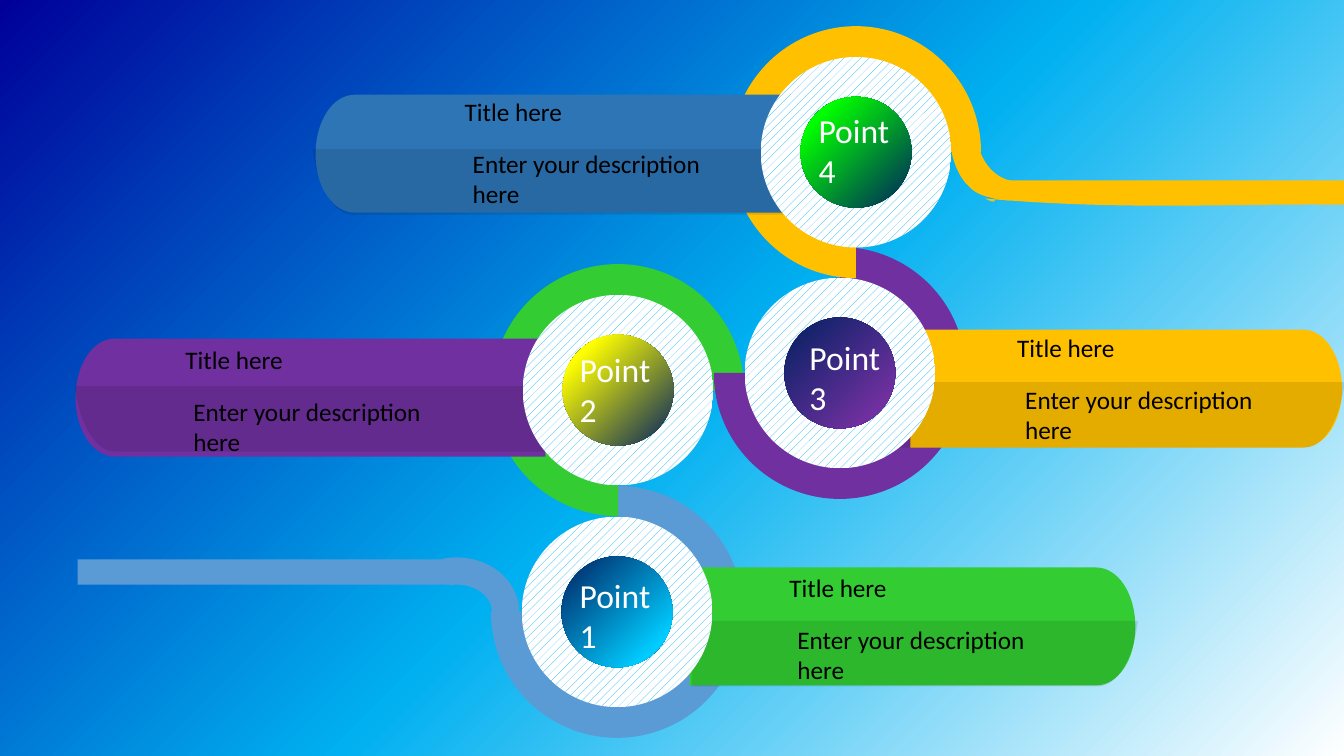
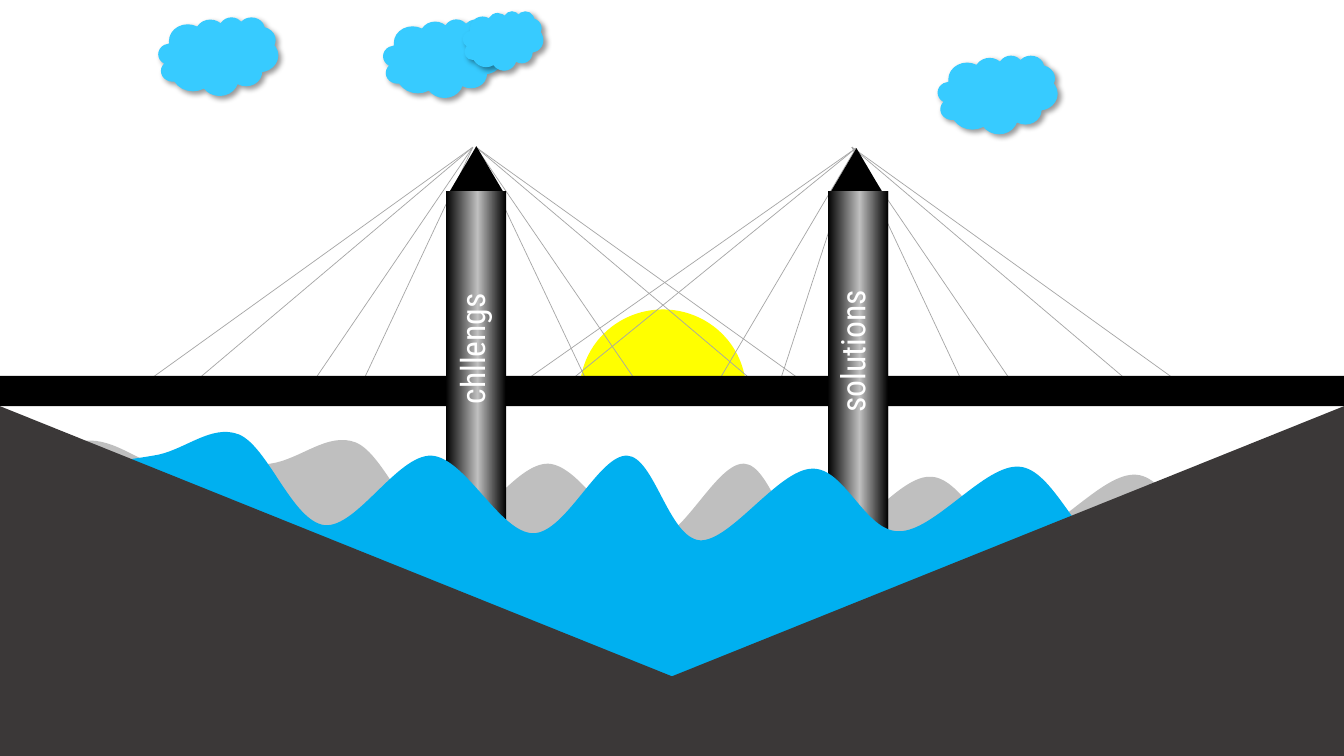
from dataclasses import dataclass

from lxml.etree import SubElement
from pptx import Presentation
from pptx.dml.color import RGBColor
from pptx.enum.dml import MSO_PATTERN
from pptx.enum.shapes import MSO_CONNECTOR, MSO_SHAPE as SHAPE
from pptx.enum.text import MSO_AUTO_SIZE
from pptx.oxml.ns import qn
from pptx.util import Cm, Pt


@dataclass(frozen=True)
class Theme:
    white: str = "FFFFFF"
    black: str = "000000"
    navy: str = "002060"
    sky: str = "00B0F0"
    steel: str = "5B9BD5"
    blue: str = "2E75B6"
    green: str = "33CC33"
    purple: str = "7030A0"
    amber: str = "FFC000"
    yellow: str = "FFFF00"
    cyan: str = "00CCFF"
    lime: str = "00FF00"
    deep_blue: str = "000099"
    cloud: str = "37CBFF"
    silver: str = "BFBFBF"
    cable: str = "A6A6A6"
    earth: str = "3B3838"
    body_font: str = "Calibri"
    tower_font: str = "Roboto Condensed"
    label_size: int = 24
    body_size: int = 18


T = Theme()
UNIT = 2.54  # one layout unit in centimetres
WIDTH, HEIGHT = 13.33, 7.5


def lengths(*values):
    return [Cm(v * UNIT) for v in values]


class Deck:
    def __init__(self):
        self.prs = Presentation()
        self.prs.slide_width, self.prs.slide_height = lengths(WIDTH, HEIGHT)
        self.s = None

    def new_slide(self):
        self.s = self.prs.slides.add_slide(self.prs.slide_layouts[6])

    def gradient(self, fill, element, stops, angle=None):
        """Linear gradient at an angle, or a circle around the lower right corner."""
        fill.gradient()
        grad = element.find(".//" + qn("a:gradFill"))
        for child in list(grad):
            grad.remove(child)
        stop_list = SubElement(grad, qn("a:gsLst"))
        for position, color in stops:
            stop = SubElement(stop_list, qn("a:gs"), pos=str(position * 1000))
            SubElement(stop, qn("a:srgbClr"), val=color)
        if angle is None:
            circle = SubElement(grad, qn("a:path"), path="circle")
            SubElement(circle, qn("a:fillToRect"), l="100000", t="100000")
        else:
            SubElement(grad, qn("a:lin"), ang=str(angle * 60000), scaled="0")

    def paint(self, shape, color, alpha=None):
        shape.shadow.inherit = False
        shape.line.fill.background()
        if color:
            shape.fill.solid()
            shape.fill.fore_color.rgb = RGBColor.from_string(color)
        if alpha:
            clr = shape._element.spPr.find(".//" + qn("a:srgbClr"))
            SubElement(clr, qn("a:alpha"), val=str(alpha * 1000))
        return shape

    def shape(self, kind, box, color=None, adjust=()):
        shape = self.s.shapes.add_shape(kind, *lengths(*box))
        for i, value in enumerate(adjust):
            shape.adjustments[i] = value
        return self.paint(shape, color)

    def arc(self, box, start, end, thickness, color):
        # Angles in degrees; an adjustment of 0.6 is one degree
        self.shape(SHAPE.BLOCK_ARC, box, color, (start * 0.6, end * 0.6, thickness))

    def circle(self, cx, cy, size, rotation=0):
        shape = self.shape(SHAPE.OVAL, (cx - size / 2, cy - size / 2, size, size))
        shape.rotation = rotation
        return shape

    def outline(self, color, start, *segments, alpha=None):
        """Closed outline; a segment is a point or a cubic curve (x1, y1, x2, y2, x, y)."""
        builder = self.s.shapes.build_freeform(*lengths(*start), scale=1.0)
        builder.add_line_segments([tuple(lengths(*seg[-2:])) for seg in segments])
        shape = builder.convert_to_shape()
        # Turn the straight steps that stand for curves into cubic ones
        steps = shape._element.findall(".//" + qn("a:lnTo"))
        for step, seg in zip(steps, segments):
            if len(seg) == 6:
                cubic = SubElement(step.getparent(), qn("a:cubicBezTo"))
                for i in (0, 2, 4):
                    x, y = lengths(*seg[i:i + 2])
                    SubElement(cubic, qn("a:pt"), x=str(x - shape.left),
                               y=str(y - shape.top))
                step.getparent().replace(step, cubic)
        return self.paint(shape, color, alpha)

    def text(self, box, lines, size, color, font=T.body_font, vertical=False):
        tf = self.s.shapes.add_textbox(*lengths(*box)).text_frame
        tf.word_wrap = False
        tf.auto_size = MSO_AUTO_SIZE.SHAPE_TO_FIT_TEXT
        if vertical:
            tf._txBody.bodyPr.set("vert", "vert270")
        tf.text = "\n".join(lines)
        for p in tf.paragraphs:
            p.font.name, p.font.size = font, Pt(size)
            p.font.color.rgb = RGBColor.from_string(color)

    def cables(self, top, ends):
        group = self.s.shapes.add_group_shape()
        for x in ends:
            line = group.shapes.add_connector(
                MSO_CONNECTOR.STRAIGHT, *lengths(*top, x, 3.74))
            line.line.color.rgb = RGBColor.from_string(T.cable)
            line.line.width = Pt(0.5)
            SubElement(line._element.spPr, qn("a:effectLst"))

    def cloud(self, box):
        shape = self.shape(SHAPE.CLOUD, box, T.cloud)
        effects = shape._element.spPr.find(qn("a:effectLst"))
        shadow = SubElement(effects, qn("a:outerShdw"), blurRad=str(Pt(4)),
                            dist=str(Pt(3)), dir=str(45 * 60000))
        clr = SubElement(shadow, qn("a:srgbClr"), val=T.black)
        SubElement(clr, qn("a:alpha"), val="40000")

    def panel(self, flat, end, top, color):
        """Band with one round end."""
        d = 1 if end > flat else -1
        bottom, cap = top + 1.17, end - d * 0.39
        self.outline(color, (flat, top), (cap, top),
                     (end - d * 0.17, top, end, top + 0.26, end, top + 0.59),
                     (end, bottom - 0.26, end - d * 0.17, bottom, cap, bottom),
                     (flat, bottom))

    def shade(self, flat, end, top):
        """Darker lower half of a panel."""
        d = 1 if end > flat else -1
        low = top + 0.65
        self.outline(T.black, (flat, top), (end, top), (end - d * 0.02, top + 0.11),
                     (end - d * 0.08, top + 0.43, end - d * 0.23, low,
                      end - d * 0.4, low),
                     (flat, low), alpha=10)


@dataclass(frozen=True)
class Point:
    center: tuple
    ring: str
    ring_angles: tuple
    ring_width: float
    core: str
    rotation: int
    panel: tuple  # flat edge, round end, top, colour
    shade: tuple  # flat edge, round end, top
    label_at: tuple
    title_at: tuple


FROM_TOP, FROM_BOTTOM = (270, 180), (90, 0)
POINTS = [
    Point((6.12, 6.07), T.steel, FROM_TOP, 2.5, T.cyan, 0,
          (6.84, 11.26, 5.63, T.green), (6.86, 11.29, 6.16),
          (5.65, 5.65), (7.73, 5.63)),
    Point((6.13, 3.87), T.green, FROM_BOTTOM, 2.5, T.yellow, 180,
          (5.41, 0.75, 3.36, T.purple), (5.44, 0.74, 3.83),
          (5.65, 3.41), (1.74, 3.37)),
    Point((8.33, 3.7), T.purple, FROM_TOP, 2.5, T.purple, 0,
          (9.03, 13.31, 3.27, T.amber), (8.64, 13.34, 3.79),
          (7.93, 3.29), (9.99, 3.25)),
    Point((8.49, 1.51), T.amber, FROM_BOTTOM, 2.48, T.lime, 180,
          (7.78, 3.13, 0.94, T.blue), (7.8, 3.1, 1.48),
          (8.02, 1.04), (4.51, 0.91)),
]


def points_slide(deck):
    deck.new_slide()
    deck.gradient(deck.s.background.fill, deck.s._element,
                  [(0, T.white), (48, T.sky), (100, T.deep_blue)])
    # Winding path: rings and the two tails
    for pt in POINTS:
        x, y = pt.center
        deck.arc((x - pt.ring_width / 2, y - 1.25, pt.ring_width, 2.5),
                 *pt.ring_angles, 0.16, pt.ring)
    deck.arc((3.91, 5.53, 1.24, 1.08), 254.14, 0, 0.25, T.steel)
    deck.shape(SHAPE.RECTANGLE, (0.77, 5.55, 3.74, 0.25), T.steel)
    deck.outline(T.amber, (10.01, 1.99), (9.85, 1.97, 9.7, 1.95, 9.61, 1.85),
                 (9.51, 1.76, 9.43, 1.57, 9.43, 1.41), (9.71, 1.45),
                 (9.72, 1.52, 9.76, 1.6, 9.81, 1.66),
                 (9.87, 1.73, 9.95, 1.78, 10.02, 1.79))
    deck.outline(T.amber, (9.78, 1.79), (14.1, 1.79), (14.1, 2.06),
                 (12.72, 1.97, 11.5, 2.12, 9.77, 1.97),
                 (9.99, 2.08, 9.77, 1.86, 9.78, 1.79))
    # Panels
    for pt in POINTS:
        deck.panel(*pt.panel)
    # Shades and discs
    for pt in POINTS:
        deck.shade(*pt.shade)
        fill = deck.circle(*pt.center, 1.89, pt.rotation).fill
        fill.patterned()
        fill.pattern = MSO_PATTERN.PERCENT_20
        fill.fore_color.rgb = RGBColor.from_string(T.sky)
        fill.back_color.rgb = RGBColor.from_string(T.white)
        core = deck.circle(*pt.center, 1.1, pt.rotation)
        deck.gradient(core.fill, core._element, [(0, T.navy), (83, pt.core)], 45)
    # Texts
    for number, pt in enumerate(POINTS, 1):
        x, y = pt.title_at
        deck.text((*pt.label_at, 0.91, 0.91), ["Point", str(number)],
                  T.label_size, T.white)
        deck.text((x, y, 1.18, 0.4), ["Title here"], T.body_size, T.black)
        deck.text((x + 0.08, y + 0.51, 2.48, 0.71),
                  ["Enter your description", "here"], T.body_size, T.black)


WAVE = [
    (-3.31, 6.71),
    (-3.4, 6.24, -3.49, 5.78, -3.23, 5.41), (-2.97, 5.05, -2.26, 4.67, -1.73, 4.54),
    (-1.2, 4.41, -0.49, 4.67, -0.05, 4.64), (0.38, 4.62, 0.6, 4.37, 0.9, 4.37),
    (1.2, 4.38, 1.43, 4.63, 1.73, 4.66), (2.02, 4.7, 2.38, 4.65, 2.68, 4.6),
    (2.98, 4.56, 3.25, 4.28, 3.53, 4.39), (3.82, 4.51, 4.06, 5.25, 4.38, 5.29),
    (4.7, 5.32, 5.1, 4.59, 5.44, 4.6), (5.78, 4.62, 6.12, 5.37, 6.45, 5.37),
    (6.77, 5.37, 7.1, 4.59, 7.38, 4.6), (7.65, 4.61, 7.79, 5.41, 8.1, 5.44),
    (8.4, 5.46, 8.88, 4.74, 9.21, 4.73), (9.54, 4.71, 9.74, 5.36, 10.08, 5.35),
    (10.43, 5.35, 10.93, 4.68, 11.27, 4.71), (11.61, 4.73, 11.86, 5.49, 12.15, 5.52),
    (12.44, 5.54, 12.74, 4.88, 13, 4.85), (13.26, 4.83, 13.45, 5.37, 13.7, 5.37),
    (13.95, 5.38, 14.04, 4.86, 14.5, 4.87), (14.95, 4.89, 16.22, 4.81, 16.4, 5.48),
    (16.59, 6.14, 17.57, 8.29, 15.58, 8.87), (13.59, 9.46, 7.49, 8.98, 4.46, 8.98),
    (1.43, 8.97, -1.31, 9.25, -2.61, 8.83), (-3.91, 8.41, -3.36, 6.48, -3.36, 6.48),
]


def water(deck, color, dx=0, dy=0):
    deck.outline(color, *(tuple(v + (dx, dy)[i % 2] for i, v in enumerate(node))
                          for node in WAVE))


def bridge_slide(deck):
    deck.new_slide()
    # Sun and far waves
    deck.shape(SHAPE.PIE, (5.75, 3.07, 1.65, 1.62), T.yellow, (106.75, 1.46))
    water(deck, T.silver)
    # Cables and deck
    for top, ends in (((8.49, 1.47), (5.26, 5.7, 7.15, 7.75)),
                      ((4.72, 1.46), (5.8, 6.28, 7.42, 7.9)),
                      ((4.69, 1.46), (3.62, 3.14, 1.99, 1.52)),
                      ((8.45, 1.46), (9.52, 10, 11.14, 11.62))):
        deck.cables(top, ends)
    deck.shape(SHAPE.RECTANGLE, (0, 3.73, WIDTH, 0.3), T.black)
    # Towers
    for roof_x, roof_y in ((4.46, 1.45), (8.23, 1.47)):
        deck.shape(SHAPE.ISOSCELES_TRIANGLE, (roof_x, roof_y, 0.53, 0.45), T.black)
    for x, text_x, text_h, word in ((4.42, 4.43, 1.16, "chllengs"),
                                    (8.21, 8.2, 1.24, "solutions")):
        tower = deck.shape(SHAPE.RECTANGLE, (x, 1.9, 0.6, 5.6))
        deck.gradient(tower.fill, tower._element,
                      [(0, T.black), (53, T.silver), (100, T.black)], 0)
        deck.text((text_x, 2.95, 0.61, text_h), [word], T.label_size, T.white,
                  T.tower_font, vertical=True)
    # Near waves and river banks
    water(deck, T.sky, -1.16, -0.08)
    deck.outline(T.earth, (0, 4.03), (WIDTH / 2, 6.71), (WIDTH, 4.03),
                 (WIDTH, HEIGHT), (0, HEIGHT))
    # Clouds
    for box in ((3.8, 0.19, 1.19, 0.78), (4.59, 0.11, 0.8, 0.59),
                (1.57, 0.17, 1.19, 0.78), (9.3, 0.55, 1.19, 0.78)):
        deck.cloud(box)


def main():
    deck = Deck()
    points_slide(deck)
    bridge_slide(deck)
    deck.prs.save("out.pptx")


if __name__ == "__main__":
    main()
